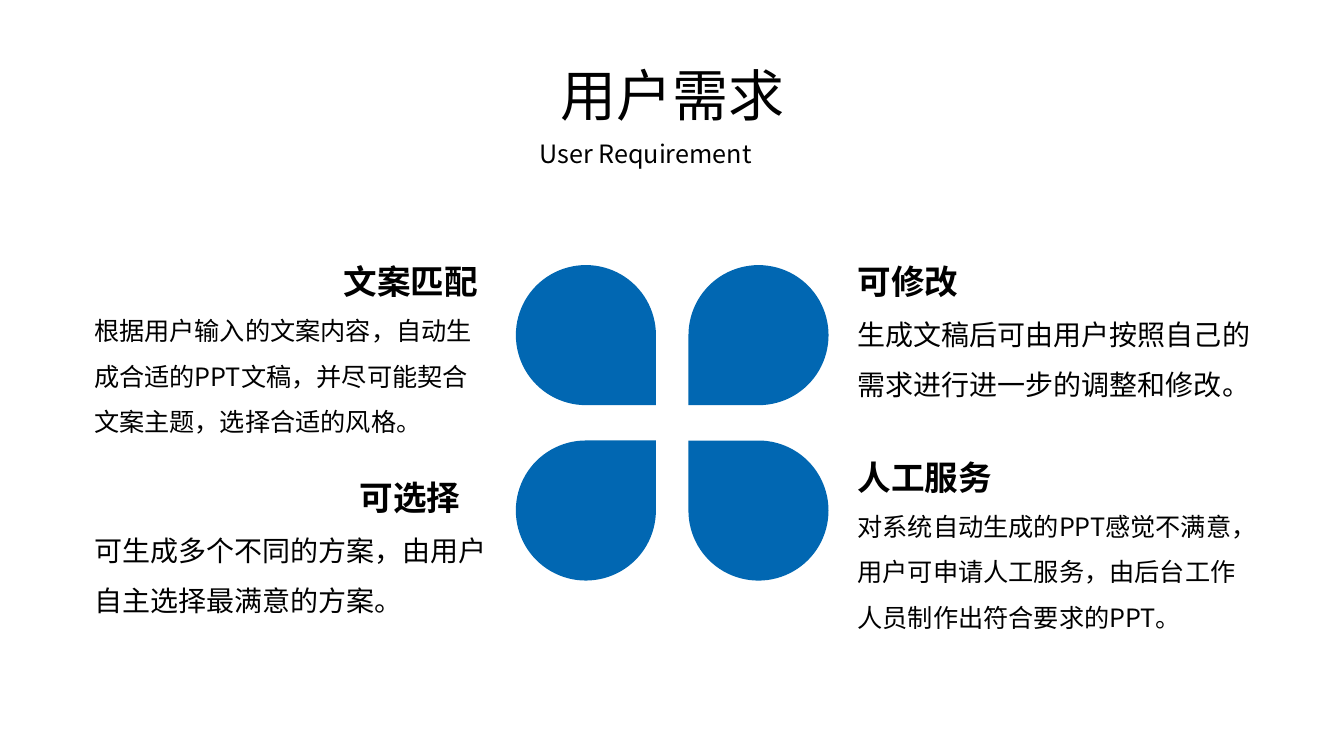
from dataclasses import dataclass

from lxml import etree
from pptx import Presentation
from pptx.dml.color import RGBColor
from pptx.enum import shapes, text
from pptx.oxml import ns
from pptx.slide import Slide
from pptx.util import Cm, Pt

FONT = "Noto Sans CJK SC"
COLORS = {"text": "000000", "petal": "0167B2"}

PETAL_SIZE = 3.53
HEADING_HEIGHT = 1.27
BODY_OFFSET = 1.0
BODY_WIDTH = 10.44


@dataclass
class Petal:
    left: float
    top: float
    rotation: int


@dataclass
class Requirement:
    heading: str
    body: str
    heading_left: float
    heading_width: float
    body_left: float
    top: float
    body_height: float
    body_size: int


# Each petal is turned so that its point faces the centre
PETALS = [
    Petal(13.0, 6.68, 90),
    Petal(17.35, 6.68, 180),
    Petal(13.0, 11.1, 0),
    Petal(17.35, 11.1, 270),
]

REQUIREMENTS = [
    Requirement("可修改", "生成文稿后可由用户按照自己的需求进行进一步的调整和修改。",
                21.36, 3.78, 21.36, 6.45, 2.82, 20),
    Requirement("人工服务",
                "对系统自动生成的PPT感觉不满意，用户可申请人工服务，由后台工作人员制作出符合要求的PPT。",
                21.36, 5.08, 21.36, 11.38, 3.71, 18),
    Requirement("文案匹配",
                "根据用户输入的文案内容，自动生成合适的PPT文稿，并尽可能契合文案主题，选择合适的风格。",
                8.41, 4.27, 2.12, 6.45, 3.71, 18),
    Requirement("可选择", "可生成多个不同的方案，由用户自主选择最满意的方案。",
                8.81, 3.78, 2.12, 11.89, 2.82, 20),
]


def add_text(slide: Slide, content: str, left: float, top: float, width: float,
             height: float, *, size: int, bold: bool = False,
             align: text.PP_ALIGN = text.PP_ALIGN.LEFT,
             line_spacing: float = 1.0) -> None:
    box = slide.shapes.add_textbox(Cm(left), Cm(top), Cm(width), Cm(height))
    frame = box.text_frame
    frame.word_wrap = True
    frame.auto_size = text.MSO_AUTO_SIZE.SHAPE_TO_FIT_TEXT
    paragraph = frame.paragraphs[0]
    paragraph.alignment = align
    paragraph.line_spacing = line_spacing
    run = paragraph.add_run()
    run.text = content
    run.font.size = Pt(size)
    run.font.bold = bold
    run.font.color.rgb = RGBColor.from_string(COLORS["text"])
    run.font.name = FONT
    # Chinese characters take the East Asian typeface
    properties = run._r.get_or_add_rPr()
    etree.SubElement(properties, ns.qn("a:ea"), typeface=FONT)


def add_petal(slide: Slide, petal: Petal) -> None:
    shape = slide.shapes.add_shape(
        shapes.MSO_SHAPE.TEAR, Cm(petal.left), Cm(petal.top),
        Cm(PETAL_SIZE), Cm(PETAL_SIZE))
    shape.rotation = petal.rotation
    shape.shadow.inherit = False
    shape.fill.solid()
    shape.fill.fore_color.rgb = RGBColor.from_string(COLORS["petal"])
    shape.line.fill.background()


def add_requirement(slide: Slide, item: Requirement) -> None:
    add_text(slide, item.heading, item.heading_left, item.top,
             item.heading_width, HEADING_HEIGHT, size=24, bold=True)
    add_text(slide, item.body, item.body_left, item.top + BODY_OFFSET,
             BODY_WIDTH, item.body_height, size=item.body_size, line_spacing=1.5)


def main() -> None:
    presentation = Presentation()
    presentation.slide_width = Cm(33.87)
    presentation.slide_height = Cm(19.05)
    slide = presentation.slides.add_slide(presentation.slide_layouts[6])

    # Title and subtitle
    add_text(slide, "用户需求", 13.79, 1.4, 6.3, 1.96, size=40,
             align=text.PP_ALIGN.CENTER)
    add_text(slide, "User Requirement", 13.34, 3.35, 6.99, 1.02, size=18,
             align=text.PP_ALIGN.JUSTIFY)

    # Four petals
    for petal in PETALS:
        add_petal(slide, petal)

    # Requirements around the petals
    for item in REQUIREMENTS:
        add_requirement(slide, item)

    presentation.save("out.pptx")


if __name__ == "__main__":
    main()
